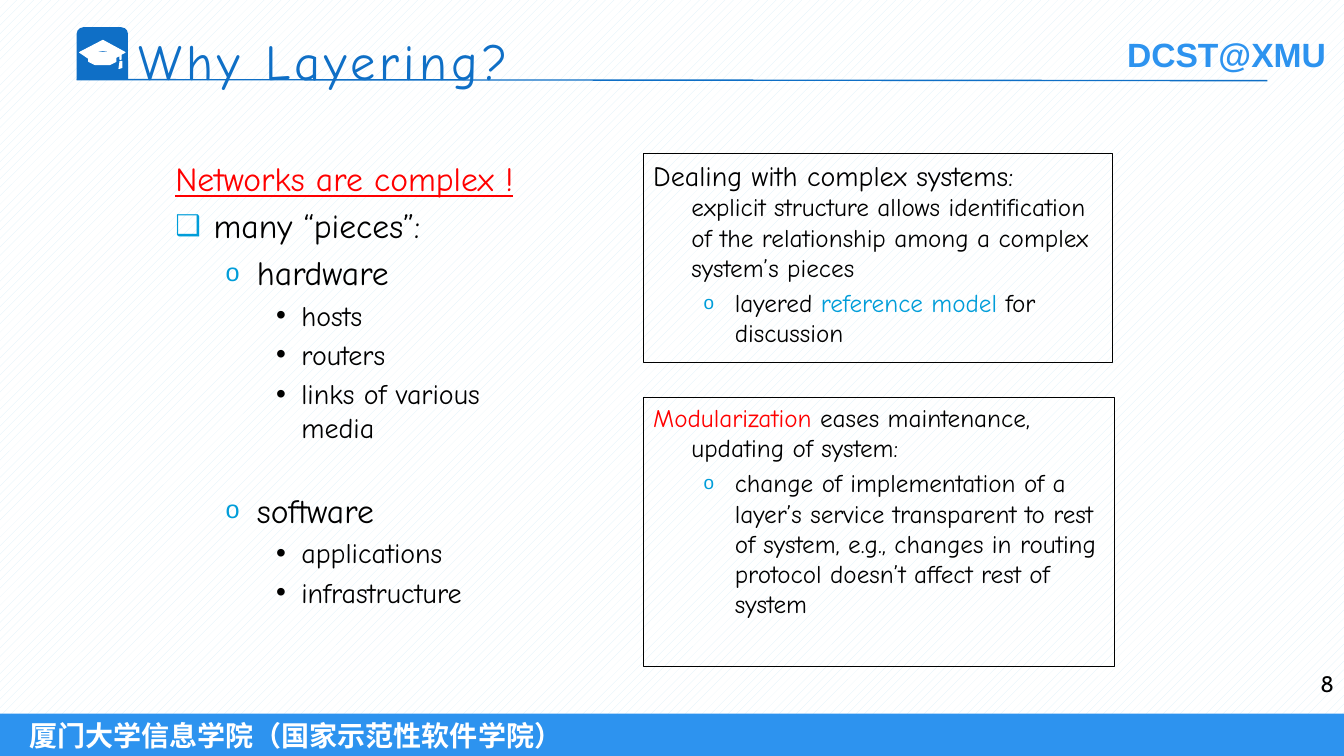
"""Build the slide "Why Layering?" with its outline and two framed notes."""
from dataclasses import dataclass
from typing import Optional

from lxml.etree import SubElement
from pptx import Presentation
from pptx.dml.color import RGBColor as RGB
from pptx.enum.dml import MSO_PATTERN as PATTERN
from pptx.enum.shapes import MSO_CONNECTOR as CONNECTOR, MSO_SHAPE as SHAPE
from pptx.enum.text import MSO_ANCHOR as ANCHOR, PP_ALIGN as ALIGN
from pptx.oxml.ns import qn
from pptx.util import Inches, Pt


@dataclass(frozen=True)
class Theme:
    """Colours, fonts and type sizes of the slide."""
    white: str = "FFFFFF"
    black: str = "000000"
    red: str = "FF0000"
    cyan: str = "009DD9"
    blue: str = "0F6FC6"
    sky: str = "2D93EF"
    pale: str = "DBEFF9"
    hand: str = "Comic Neue"
    sans: str = "Arial"
    number: str = "Cabin"
    title: int = 36
    large: int = 24
    medium: int = 20
    small: int = 18
    page: int = 16


T = Theme()


@dataclass(frozen=True)
class Run:
    """A stretch of text in one format."""
    text: str
    size: int
    color: str = T.black
    font: str = T.hand
    bold: bool = False
    underline: bool = False


@dataclass(frozen=True)
class Level:
    """Indent and bullet of an outline level."""
    depth: int = 0
    left: float = 0
    hang: float = 0
    bullet: str = ""
    bullet_color: str = T.cyan
    bullet_size: int = 75


@dataclass(frozen=True)
class Para:
    """A paragraph made of runs."""
    runs: tuple[Run, ...]
    level: Level = Level()
    before: Optional[float] = None
    align: ALIGN = ALIGN.LEFT


@dataclass(frozen=True)
class Box:
    """A box of paragraphs with an optional fill and frame."""
    at: tuple[float, float, float, float]
    paras: tuple[Para, ...] = ()
    fill: str = ""
    frame: str = ""
    anchor: ANCHOR = ANCHOR.TOP
    inset: float = 0.1
    wrap: bool = True
    shape: SHAPE = SHAPE.RECTANGLE


PLAIN = Level()
HEAD = Level(0, 0.38, -0.38)
ITEM = Level(0, 0.38, -0.38, "❑", bullet_size=85)
SUB = Level(1, 0.81, -0.31, "o")
DOT = Level(2, 1.25, -0.25, "•", T.black, 100)


def line(text: str, size: int, level: Level = PLAIN, **fmt) -> Para:
    """Make a paragraph of one run spaced by a fifth of its size."""
    return Para((Run(text, size, **fmt),), level, size * 0.2)


def set_all(obj: object, values: dict) -> None:
    """Set each named attribute of an object."""
    for name, value in values.items():
        setattr(obj, name, value)


def add_level(p, level: Level) -> None:
    """Give a paragraph its indent and bullet."""
    pPr = p._p.get_or_add_pPr()
    pPr.set("marL", str(Inches(level.left)))
    pPr.set("indent", str(Inches(level.hang)))
    if level.bullet:
        color = SubElement(pPr, qn("a:buClr"))
        SubElement(color, qn("a:srgbClr"), val=level.bullet_color)
        SubElement(pPr, qn("a:buSzPct"), val=str(level.bullet_size * 1000))
        SubElement(pPr, qn("a:buFont"), typeface=T.sans)
        SubElement(pPr, qn("a:buChar"), char=level.bullet)
    p.level = level.depth


def add_run(p, run: Run):
    """Add a formatted run, turning newlines into line breaks."""
    r = p.add_run()
    r.text = run.text
    set_all(r.font, {"size": Pt(run.size), "name": run.font,
                     "bold": run.bold, "underline": run.underline})
    r.font.color.rgb = RGB.from_string(run.color)
    return r


def add_paras(tf, paras: tuple[Para, ...]) -> None:
    """Fill a text frame with paragraphs."""
    for i, para in enumerate(paras):
        p = tf.add_paragraph() if i else tf.paragraphs[0]
        add_level(p, para.level)
        p.alignment = para.align
        if i and para.before is not None:
            p.space_before = Pt(para.before)
        for j, run in enumerate(para.runs):
            if j and para.runs[j - 1].size > run.size:
                p.add_line_break()
            add_run(p, run)


def paint(sp, fill: str, frame: str) -> None:
    """Set the fill and frame of a shape and drop its shadow."""
    sp.shadow.inherit = False
    for part, color in ((sp.fill, fill), (sp.line.fill, frame)):
        if color:
            part.solid()
            part.fore_color.rgb = RGB.from_string(color)
        else:
            part.background()
    if frame:
        sp.line.width = Pt(0.75)


def add_box(s, box: Box):
    """Draw a box, as a text box when it has neither fill nor frame."""
    at = [Inches(v) for v in box.at]
    if box.fill or box.frame:
        sp = s.shapes.add_shape(box.shape, *at)
        paint(sp, box.fill, box.frame)
    else:
        sp = s.shapes.add_textbox(*at)
    set_all(sp.text_frame, {"word_wrap": box.wrap, "vertical_anchor": box.anchor,
                            "margin_left": Inches(box.inset)})
    add_paras(sp.text_frame, box.paras)
    return sp


def add_cap(s) -> None:
    """Draw the white graduation cap, in hundredths of an inch."""
    board = [(120, 59), (120, 54), (124, 52), (102, 40), (79, 52), (88, 58), (88, 61),
             (94, 64), (102, 64), (109, 64), (115, 61), (115, 57), (119, 55), (119, 59)]
    band = [(88, 55), (93, 52), (102, 52), (111, 52), (115, 55), (115, 54),
            (109, 51), (102, 50), (95, 51), (88, 54)]
    tassel = [(119, 61), (118, 68), (121, 67), (121, 61)]
    fb = s.shapes.build_freeform(*board[0], scale=Inches(0.01))
    fb.add_line_segments(board[1:])
    for outline in (band, tassel):
        fb.move_to(*outline[0])
        fb.add_line_segments(outline[1:])
    paint(fb.convert_to_shape(), T.white, T.white)


def add_master(s) -> None:
    """Draw the backdrop, footer, department name, badge and rule."""
    fill = add_box(s, Box((0, 0, 13.33, 7.5), fill=T.white)).fill
    fill.patterned()
    fill.pattern = PATTERN.PERCENT_20
    fill.fore_color.rgb = RGB.from_string(T.pale)
    fill.back_color.rgb = RGB.from_string(T.white)
    footer = line("厦门大学信息学院（国家示范性软件学院）", T.medium,
                  color=T.white, font=T.sans, bold=True)
    add_box(s, Box((0, 7.08, 13.33, 0.42), (footer,), T.sky,
                   anchor=ANCHOR.MIDDLE, inset=0.29))
    dept = line("DCST@XMU", T.large, color=T.sky, font=T.sans, bold=True)
    sp = add_box(s, Box((11.08, 0.29, 2.2, 0.5), (dept,), wrap=False))
    fill = sp.text_frame.paragraphs[0].runs[0].font.fill
    fill.gradient()
    fill.gradient_angle = 270
    for stop, color in zip(fill.gradient_stops, (T.sky, T.blue)):
        stop.color.rgb = RGB.from_string(color)
    badge = add_box(s, Box((0.76, 0.27, 0.51, 0.52), fill=T.blue,
                           shape=SHAPE.ROUND_2_SAME_RECTANGLE))
    badge.adjustments[0] = 0.13
    add_cap(s)
    rule = s.shapes.add_connector(CONNECTOR.STRAIGHT, Inches(0.76), Inches(0.79),
                                  Inches(12.57), Inches(0.8))
    rule.line.color.rgb = RGB.from_string(T.blue)
    rule.line.width = Pt(1)
    SubElement(rule._element.spPr, qn("a:effectLst"))


OUTLINE = (
    line("Networks are complex !", T.large, HEAD, color=T.red, underline=True),
    line("many “pieces”:", T.large, ITEM),
    line("hardware", T.large, SUB),
    *(line(t, T.medium, DOT) for t in ("hosts", "routers", "links of various media")),
    Para((Run("software", T.large),), SUB, 33),
    *(line(t, T.medium, DOT) for t in ("applications", "infrastructure")),
)
DEALING = (
    Para((Run("Dealing with complex systems:", T.medium),
          Run("explicit structure allows identification of the relationship "
              "among a complex system’s pieces", T.small)), HEAD),
    Para((Run("layered ", T.small), Run("reference model", T.small, T.cyan),
          Run(" for discussion", T.small)), SUB, 3.6),
)
MODULAR = (
    Para((Run("Modularization", T.small, T.red),
          Run(" eases maintenance, updating of system:", T.small)), HEAD),
    line("change of implementation of a layer’s service transparent to rest of system, "
         "e.g., changes in routing protocol doesn’t affect rest of system", T.small, SUB),
)


def main() -> None:
    """Build and save the slide."""
    prs = Presentation()
    set_all(prs, {"slide_width": Inches(13.33), "slide_height": Inches(7.5)})
    s = prs.slides.add_slide(prs.slide_layouts[6])
    add_master(s)
    title = line("Why Layering?", T.title, color=T.blue)
    sp = add_box(s, Box((1.28, 0.25, 9.33, 1), (title,)))
    sp.text_frame.paragraphs[0].runs[0].font._element.set("spc", "300")
    page = Para((Run("8", T.page, font=T.number),), align=ALIGN.RIGHT)
    for box in (Box((12.56, 6.6, 0.77, 0.5), (page,)),
                Box((1.64, 1.52, 3.92, 5.08), OUTLINE),
                Box((6.38, 1.52, 4.65, 2.08), DEALING, frame=T.black),
                Box((6.38, 3.94, 4.67, 2.67), MODULAR, frame=T.black)):
        add_box(s, box)
    prs.save("out.pptx")


if __name__ == "__main__":
    main()
